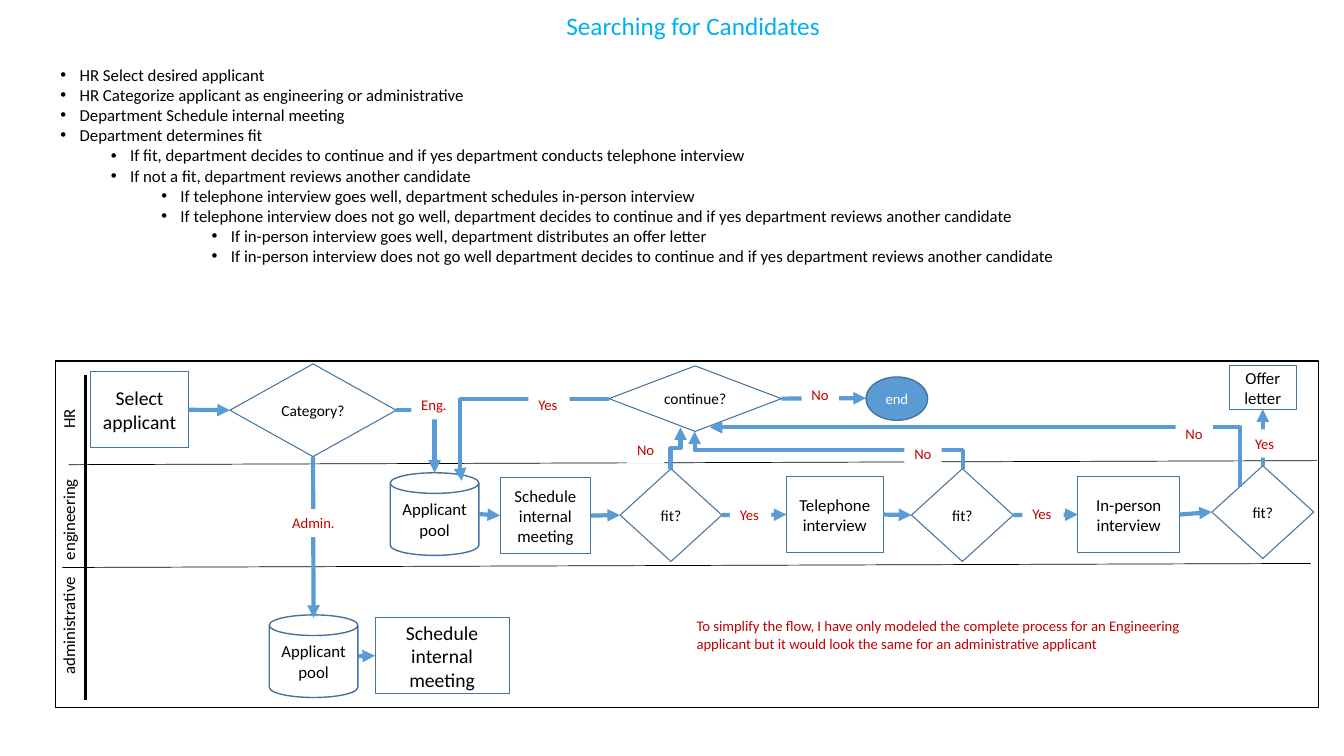
from pptx import Presentation
from pptx import util as u
from pptx.dml import color
from pptx.enum import shapes, text
from pptx.oxml import ns
from lxml import etree

BLUE, EDGE, RED, BLACK, WHITE = "5B9BD5", "43739E", "C00000", "000000", "FFFFFF"
TOP, LEFT, BOTTOM, RIGHT = range(4)
KIND = shapes.MSO_SHAPE
LINE = shapes.MSO_CONNECTOR


def rgb(hex_color):
    """Turn a hex string into a colour."""
    return color.RGBColor.from_string(hex_color)


def sub(parent, tag, **attrs):
    """Append a DrawingML element to its parent."""
    return etree.SubElement(parent, ns.qn("a:" + tag), attrs)


def write(p, content, size=12, hue=BLACK, align=None):
    """Write one formatted run into a paragraph."""
    r = p.add_run()
    r.text = content
    r.font.size, r.font.name = u.Pt(size), "Calibri"
    r.font.color.rgb = rgb(hue)
    p.alignment = align
    p.space_before = u.Pt(0)


def place(sp, x, y, w, h):
    """Move and size a shape in inches."""
    sp.left, sp.top, sp.width, sp.height = map(u.Inches, (x, y, w, h))


def node(s, kind, x, y, w, h, content="", size=12, hue=BLACK, fill=None,
         edge=EDGE, weight=0.75):
    """Add a flow chart shape with centred text."""
    sp = s.shapes.add_shape(kind, *map(u.Inches, (x, y, w, h)))
    sp.shadow.inherit = False
    if fill:
        sp.fill.solid()
        sp.fill.fore_color.rgb = rgb(fill)
    else:
        sp.fill.background()
    sp.line.color.rgb = rgb(edge)
    sp.line.width = u.Pt(weight)
    if content:
        tf = sp.text_frame
        tf.word_wrap = " " in content
        tf.vertical_anchor = text.MSO_ANCHOR.MIDDLE
        write(tf.paragraphs[0], content, size, hue, text.PP_ALIGN.CENTER)
    return sp


def label(s, content, x, y, w, h=0.28, size=10.5, hue=RED, fill=WHITE, wrap=False):
    """Add a text box, filled so that it interrupts the arrow below it."""
    sp = s.shapes.add_textbox(*map(u.Inches, (x, y, w, h)))
    if fill:
        sp.fill.solid()
        sp.fill.fore_color.rgb = rgb(fill)
    sp.text_frame.word_wrap = wrap
    write(sp.text_frame.paragraphs[0], content, size, hue)
    return sp


def connect(s, start, end, kind=LINE.STRAIGHT, hue=BLUE, weight=3, arrow=True):
    """Add a connector between points or (shape, side) pairs."""
    ends = [(0, 0) if hasattr(e[0], "shape_id") else e for e in (start, end)]
    c = s.shapes.add_connector(kind, *(u.Inches(v) for e in ends for v in e))
    for e, join in ((start, c.begin_connect), (end, c.end_connect)):
        if hasattr(e[0], "shape_id"):
            join(*e)
    c.line.color.rgb = rgb(hue)
    c.line.width = u.Pt(weight)
    if arrow:
        sub(c.line._get_or_add_ln(), "tailEnd", type="triangle")
    sub(c._element.spPr, "effectLst")
    return c


def elbow(s, start, end, turn=None, upright=False):
    """Add a bent arrow; turn is the share of the first leg, None for one corner."""
    (x1, y1), (x2, y2) = start, end
    if upright:
        cx, cy, dx, dy = (x1 + x2) / 2, (y1 + y2) / 2, (x2 - x1) / 2, (y2 - y1) / 2
        start, end = (cx - dy, cy + dx), (cx + dy, cy - dx)
    c = connect(s, start, end, LINE.ELBOW)
    spPr = c._element.spPr
    if upright:
        spPr.find(ns.qn("a:xfrm")).set("rot", "5400000")
    geom = spPr.find(ns.qn("a:prstGeom"))
    if turn is None:
        geom.set("prst", "bentConnector2")
    else:
        guides = geom.find(ns.qn("a:avLst"))
        if guides is None:
            guides = sub(geom, "avLst")
        sub(guides, "gd", name="adj1", fmla=f"val {round(turn * 100000)}")


def add_title(s, x, y, w, h):
    """Fill the title placeholder."""
    sp = s.shapes.title
    place(sp, x, y, w, h)
    tf = sp.text_frame
    tf.word_wrap = False
    tf.auto_size = text.MSO_AUTO_SIZE.NONE
    write(tf.paragraphs[0], "Searching for Candidates", 18, "00B0F0", text.PP_ALIGN.CENTER)


def add_steps(s, x, y, w, h):
    """Fill the body placeholder with the indented steps."""
    steps = [
        (0, "HR Select desired applicant"),
        (0, "HR Categorize applicant as engineering or administrative"),
        (0, "Department Schedule internal meeting"),
        (0, "Department determines fit"),
        (1, "If fit, department decides to continue and if yes department conducts telephone interview"),
        (1, "If not a fit, department reviews another candidate"),
        (2, "If telephone interview goes well, department schedules in-person interview"),
        (2, "If telephone interview does not go well, department decides to continue and if yes "
            "department reviews another candidate"),
        (3, "If in-person interview goes well, department distributes an offer letter"),
        (3, "If in-person interview does not go well department decides to continue and if yes "
            "department reviews another candidate"),
    ]
    sp = s.placeholders[1]
    place(sp, x, y, w, h)
    tf = sp.text_frame
    tf.word_wrap = False
    tf.auto_size = text.MSO_AUTO_SIZE.NONE
    for i, (level, content) in enumerate(steps):
        p = tf.add_paragraph() if i else tf.paragraphs[0]
        write(p, content)
        p.level = level
        pPr = p._p.get_or_add_pPr()
        pPr.set("marL", str(u.Inches(0.19 + 0.5 * level)))
        pPr.set("indent", str(-u.Inches(0.19)))
        sub(pPr, "buFont", typeface="Arial")
        sub(pPr, "buChar", char="•")


def add_lanes(s, x, y, w, h):
    """Draw the frame, the lane dividers and the lane names."""
    node(s, KIND.RECTANGLE, x, y, w, h, edge=BLACK, weight=1)
    for dx, dy in ((0.13, 1.03), (0.07, 2.05)):
        connect(s, (x + dx, y + dy), (x + dx + 12.38, y + dy - 0.04),
                hue=BLACK, weight=0.5, arrow=False)
    connect(s, (x + 0.3, y + 3.36), (x + 0.3, y + 0.14), hue=BLACK, weight=2.25, arrow=False)
    for name, middle, length in (("HR", 0.57, 0.4), ("engineering", 1.55, 1.05),
                                 ("administrative", 2.62, 1.18)):
        sp = label(s, name, x + 0.13 - length / 2, y + middle - 0.15, length, 0.3,
                   size=12, hue=BLACK, fill=None)
        sp.rotation = 270


def add_flow(s, x, y):
    """Draw the process inside the lanes."""
    def at(dx, dy):
        return x + dx, y + dy

    def box(content, dx, dy, w, h=0.75, size=12):
        return node(s, KIND.RECTANGLE, *at(dx, dy), w, h, content, size)

    def decision(content, dx, dy, w=1.01, h=0.92):
        return node(s, KIND.DIAMOND, *at(dx, dy), w, h, content, 11)

    select = box("Select applicant", 0.35, 0.11, 0.97, size=14)
    category = decision("Category?", 1.73, 0.03, 1.65)
    go_on = decision("continue?", 5.49, 0.05, 1.71, 0.65)
    node(s, KIND.OVAL, *at(8.04, 0.16), 0.61, 0.43, "end", 10.5, WHITE, BLUE, weight=1)
    offer = box("Offer letter", 11.64, 0.05, 0.67, 0.43)
    for dx, dy in ((3.32, 1.11), (2.12, 2.52)):
        node(s, KIND.CAN, *at(dx, dy), 0.88, 0.82, "Applicant pool", weight=1)
    meeting = box("Schedule internal meeting", 4.41, 1.16, 0.9)
    admin_meeting = box("Schedule internal meeting", 3.17, 2.55, 1.33, size=14)
    fit = decision("fit?", 5.6, 1.07)
    phone = box("Telephone interview", 7.25, 1.15, 0.96)
    phone_fit = decision("fit?", 8.49, 1.07)
    in_person = box("In-person interview", 10.14, 1.15, 1.01)
    final_fit = decision("fit?", 11.47, 1.04)

    row = [meeting, fit, phone, phone_fit, in_person, final_fit]
    for a, b in [(select, category), *zip(row, row[1:])]:
        connect(s, (a, RIGHT), (b, LEFT))
    connect(s, (final_fit, TOP), (offer, BOTTOM))
    connect(s, (category, BOTTOM), at(2.56, 2.55))
    connect(s, (go_on, RIGHT), at(8.04, 0.37))
    connect(s, at(4.2, 1.52), (meeting, LEFT))
    connect(s, at(3, 2.93), (admin_meeting, LEFT))
    elbow(s, at(3.38, 0.49), at(3.76, 1.11))
    elbow(s, at(5.49, 0.38), at(4.03, 1.19), 1.01)
    elbow(s, at(11.75, 1.25), at(6.49, 0.66), 0)
    elbow(s, at(9, 1.07), at(6.34, 0.7), 0.5, upright=True)
    elbow(s, at(6.1, 1.07), at(6.2, 0.66), 0.5, upright=True)

    answers = {
        ("Admin.", 0.63): [(2.25, 1.47)],
        ("Eng.", 0.46): [(3.53, 0.3)],
        ("Yes", 0.41): [(4.69, 0.3), (6.69, 1.39), (9.59, 1.38), (11.8, 0.68)],
        ("No", 0.37): [(5.67, 0.74), (7.4, 0.2), (8.42, 0.78), (11.11, 0.59)],
    }
    for (answer, w), spots in answers.items():
        for spot in spots:
            label(s, answer, *at(*spot), w)
    label(s, "To simplify the flow, I have only modeled the complete process for an Engineering "
             "applicant but it would look the same for an administrative applicant",
          *at(6.26, 2.49), 5.18, 0.45, wrap=True)


def main():
    """Build and save the slide."""
    prs = Presentation()
    prs.slide_width, prs.slide_height = u.Inches(13.33), u.Inches(7.5)
    s = prs.slides.add_slide(prs.slide_layouts[1])
    add_title(s, 5.5, 0.05, 2.75, 0.4)
    add_steps(s, 0.5, 0.59, 10.15, 2.12)
    add_lanes(s, 0.55, 3.58, 12.53, 3.44)
    add_flow(s, 0.55, 3.58)
    prs.save("out.pptx")


if __name__ == "__main__":
    main()
